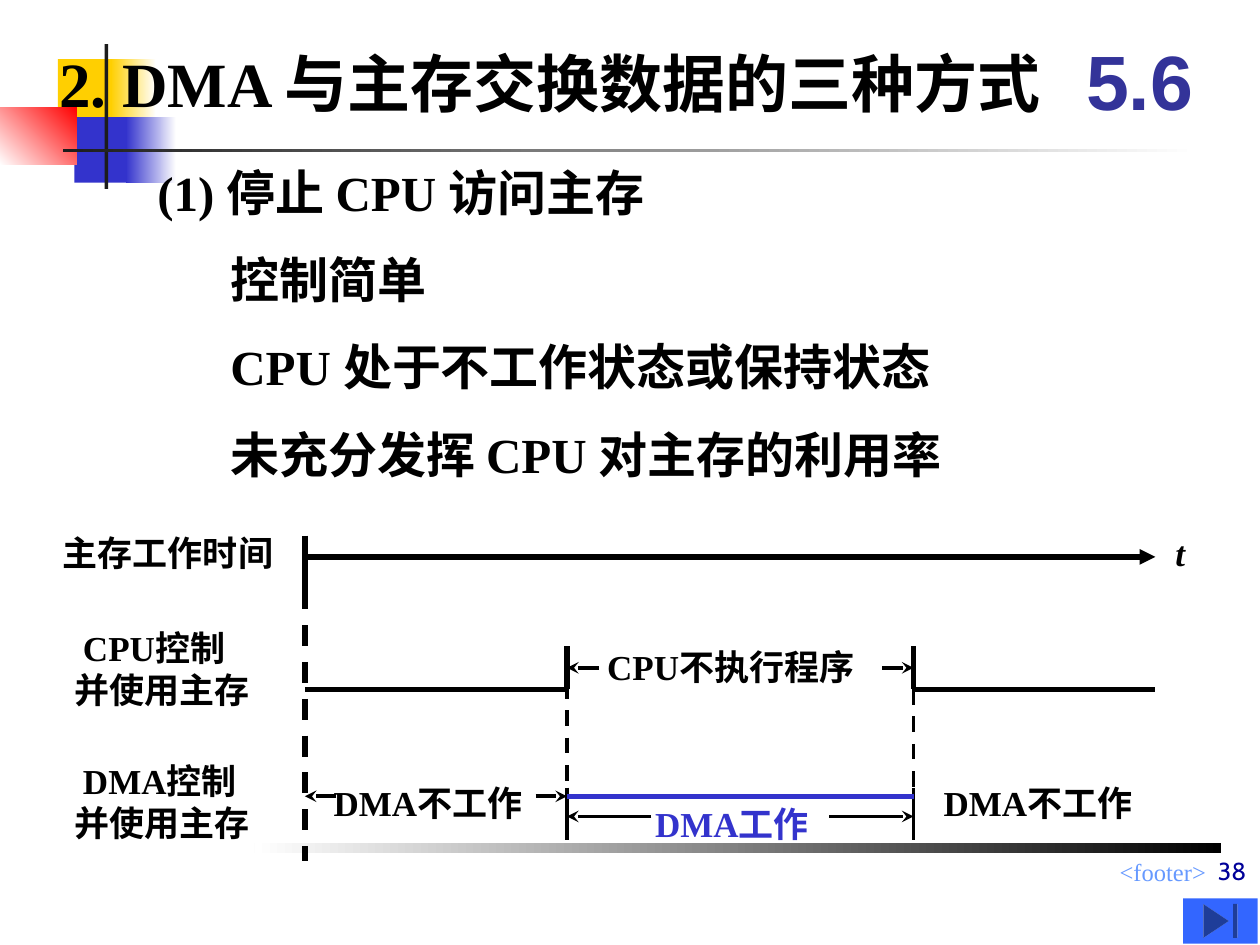
from pptx import Presentation
from pptx.dml.color import RGBColor
from pptx.enum.dml import MSO_LINE
from pptx.enum.shapes import MSO_CONNECTOR, MSO_SHAPE
from pptx.enum.text import MSO_ANCHOR as Anchor, MSO_AUTO_SIZE as AutoSize, PP_ALIGN as Align
from pptx.oxml.ns import qn
from pptx.util import Emu, Pt
from lxml.etree import SubElement

PX = 9144
COLORS = {
    "white": "FFFFFF", "black": "000000", "ink": "1C1C1C", "yellow": "FFCF01",
    "blue": "3333CC", "red": "FF0000", "navy": "333399", "footer": "6699FF",
    "number": "000099", "button": "3366FF",
}


def px(length):
    return Emu(round(length * PX))


def rgb(name):
    return RGBColor.from_string(COLORS[name])


class SlideBuilder:
    serif = "Times New Roman"

    def __init__(self, slide):
        self.slide = slide
        self.shapes = slide.shapes

    def block(self, box, *colors, angle=180, preset=MSO_SHAPE.RECTANGLE):
        block = self.shapes.add_shape(preset, *map(px, box))
        block.shadow.inherit = False
        block.line.fill.background()
        if len(colors) == 1:
            block.fill.solid()
            block.fill.fore_color.rgb = rgb(colors[0])
            return
        block.fill.gradient()
        block.fill.gradient_angle = angle
        for stop, color in zip(block.fill.gradient_stops, colors):
            stop.color.rgb = rgb(color)

    def set_text(self, holder, lines, size, color="black", font=serif, bold=True, italic=False,
                 align=Align.LEFT, anchor=Anchor.TOP, wrap=False, first_indent=0):
        frame = holder.text_frame
        frame.auto_size = AutoSize.NONE
        frame.word_wrap = wrap
        frame.vertical_anchor = anchor
        for index, line in enumerate(lines):
            paragraph = frame.add_paragraph() if index else frame.paragraphs[0]
            paragraph.alignment = align
            if first_indent and index == 0:
                paragraph._p.get_or_add_pPr().set("marL", str(px(first_indent)))
            run = paragraph.add_run()
            run.text = line
            run.font.name = font
            run.font.size = Pt(size)
            run.font.bold = bold
            run.font.italic = italic
            run.font.color.rgb = rgb(color)

    def text(self, box, *lines, size=20, **style):
        self.set_text(self.shapes.add_textbox(*map(px, box)), lines, size, **style)

    def title(self, box, heading, size):
        title = self.shapes.title
        title.left, title.top, title.width, title.height = map(px, box)
        self.set_text(title, [heading], size)
        self.shapes.element.append(title.element)

    def line(self, start, end, width=3, color="black", dashed=False, arrow=None):
        line = self.shapes.add_connector(MSO_CONNECTOR.STRAIGHT, *map(px, start + end))
        line.line.width = Pt(width)
        line.line.color.rgb = rgb(color)
        if dashed:
            line.line.dash_style = MSO_LINE.DASH
        properties = line.element.spPr
        if arrow:
            SubElement(properties.find(qn("a:ln")), qn("a:tailEnd"), type=arrow)
        SubElement(properties, qn("a:effectLst"))


def draw_decoration(builder):
    builder.block((46, 47, 48, 52), "yellow")
    builder.block((88, 47, 36, 52), "white", "yellow")
    builder.block((59, 93, 46, 52), "blue")
    builder.block((100, 93, 40, 52), "white", "blue")
    builder.block((0, 85, 61, 46), "red", "white", angle=225)
    builder.block((83, 35, 3, 115), "ink")
    builder.block((50, 118, 900, 3), "white", "ink")
    builder.block((202, 669, 767, 8), "black", "white")
    builder.text((392, 675, 575, 26), "<footer>", size=14, color="footer", bold=False,
                 align=Align.RIGHT, wrap=True)


def draw_content(builder):
    builder.title((37, 30, 814, 70), "2. DMA 与主存交换数据的三种方式", 36)
    builder.text((115, 124, 568, 57), "(1) 停止 CPU 访问主存", size=28, wrap=True)
    points = ["控制简单", "CPU 处于不工作状态或保持状态", "未充分发挥 CPU 对主存的利用率"]
    for row, point in enumerate(points):
        builder.text((173, 193 + row * 139 // 2, 677, 57), point, size=28, wrap=True)


def draw_timing(builder):
    origin, steal, resume, end = 242, 450, 725, 917
    time_y, cpu_y, cpu_top, dma_y, work_y = 442, 547, 513, 632, 648
    thin = 2.25

    builder.text((40, 417, 187, 44), "主存工作时间")
    builder.text((923, 417, 27, 44), "t", italic=True)
    for top, unit in ((492, "CPU"), (598, "DMA")):
        builder.text((49, top, 159, 77), f"{unit}控制", "并使用主存", first_indent=7)

    builder.line((origin, 425), (origin, 467))
    builder.line((origin, time_y), (end, time_y), arrow="triangle")
    builder.line((origin, 467), (origin, 683), dashed=True)

    for start, stop in ((origin, steal), (resume, end)):
        builder.line((start, cpu_y), (stop, cpu_y))
    for edge, dash_top in ((steal, 542), (resume, 525)):
        builder.line((edge, cpu_top), (edge, cpu_y))
        builder.line((edge, dash_top), (edge, 633), thin, dashed=True)
        builder.line((edge, 625), (edge, 667), thin)
    builder.line((steal, dma_y), (resume, dma_y), color="blue")

    for left, right, y, length in (
        (steal, resume, 530, 25),
        (origin, steal, dma_y, 25),
        (steal, resume, work_y, 67),
    ):
        builder.line((left + length, y), (left, y), thin, arrow="stealth")
        builder.line((right - length, y), (right, y), thin, arrow="stealth")

    builder.text((472, 507, 223, 44), "CPU不执行程序")
    for left in (255, 739):
        builder.text((left, 615, 176, 44), "DMA不工作")
    builder.text((510, 632, 149, 44), "DMA工作", color="blue")


def draw_navigation(builder):
    builder.text((842, 17, 125, 92), "5.6", size=44, color="navy", font="Arial",
                 align=Align.CENTER, anchor=Anchor.MIDDLE, wrap=True)
    builder.block((939, 713, 59, 36), "button", preset=MSO_SHAPE.ACTION_BUTTON_END)
    builder.text((521, 658, 478, 50), "38", size=14, color="number", font="Cabin", bold=False,
                 align=Align.RIGHT, anchor=Anchor.BOTTOM, wrap=True)


def main():
    presentation = Presentation()
    presentation.slide_width, presentation.slide_height = px(1000), px(750)
    builder = SlideBuilder(presentation.slides.add_slide(presentation.slide_layouts[5]))
    draw_decoration(builder)
    draw_content(builder)
    draw_timing(builder)
    draw_navigation(builder)
    presentation.save("out.pptx")


if __name__ == "__main__":
    main()
